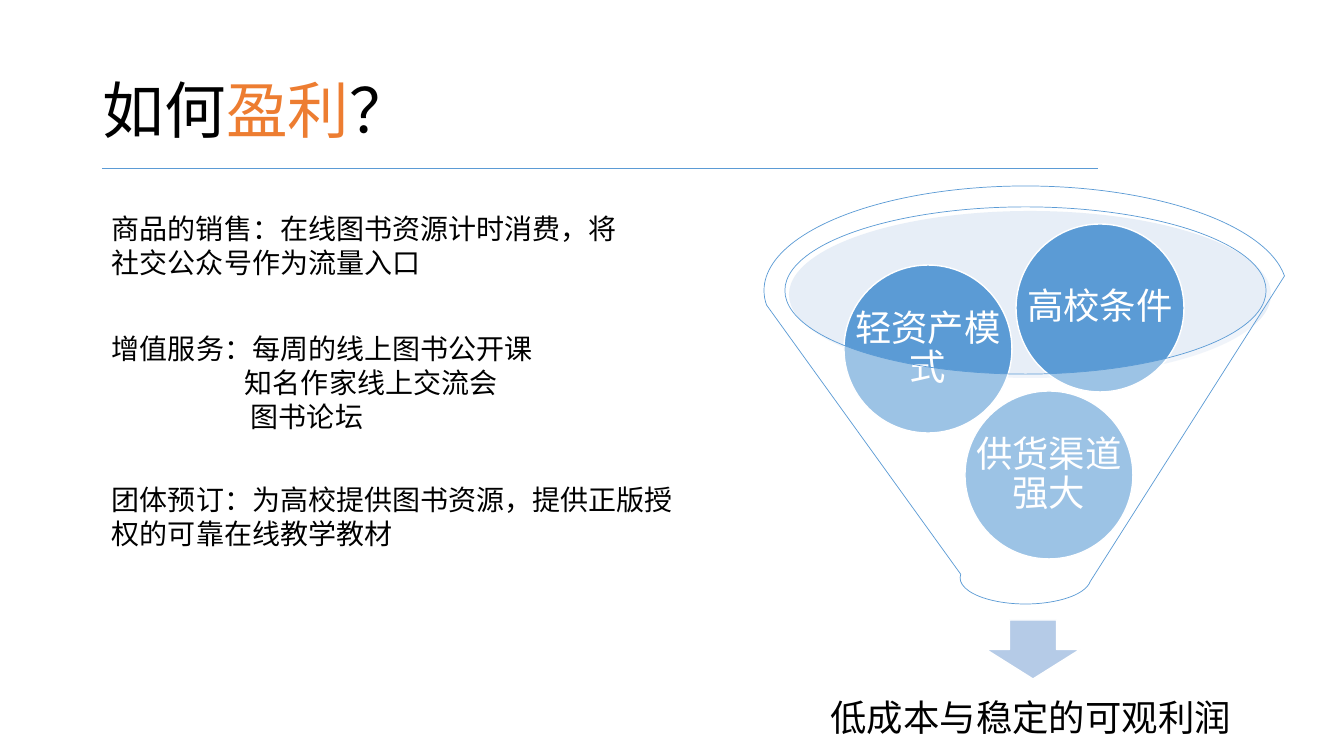
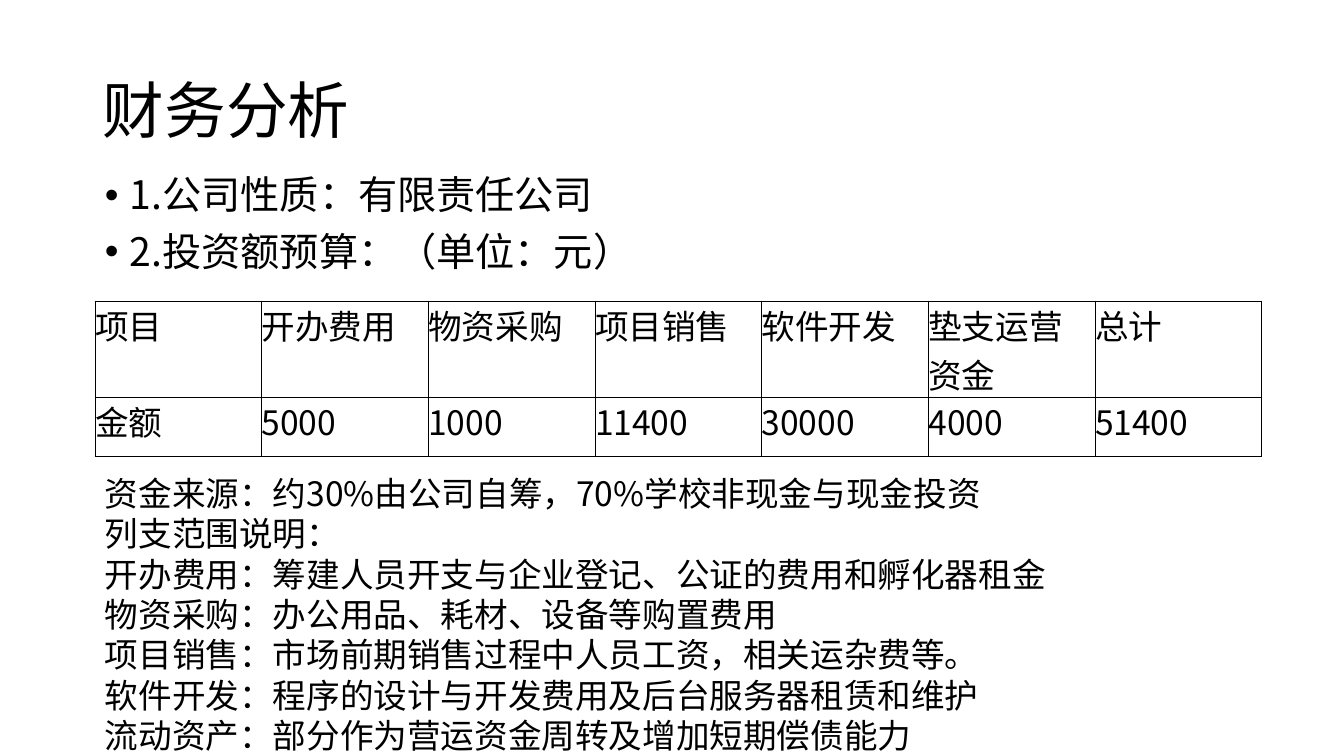
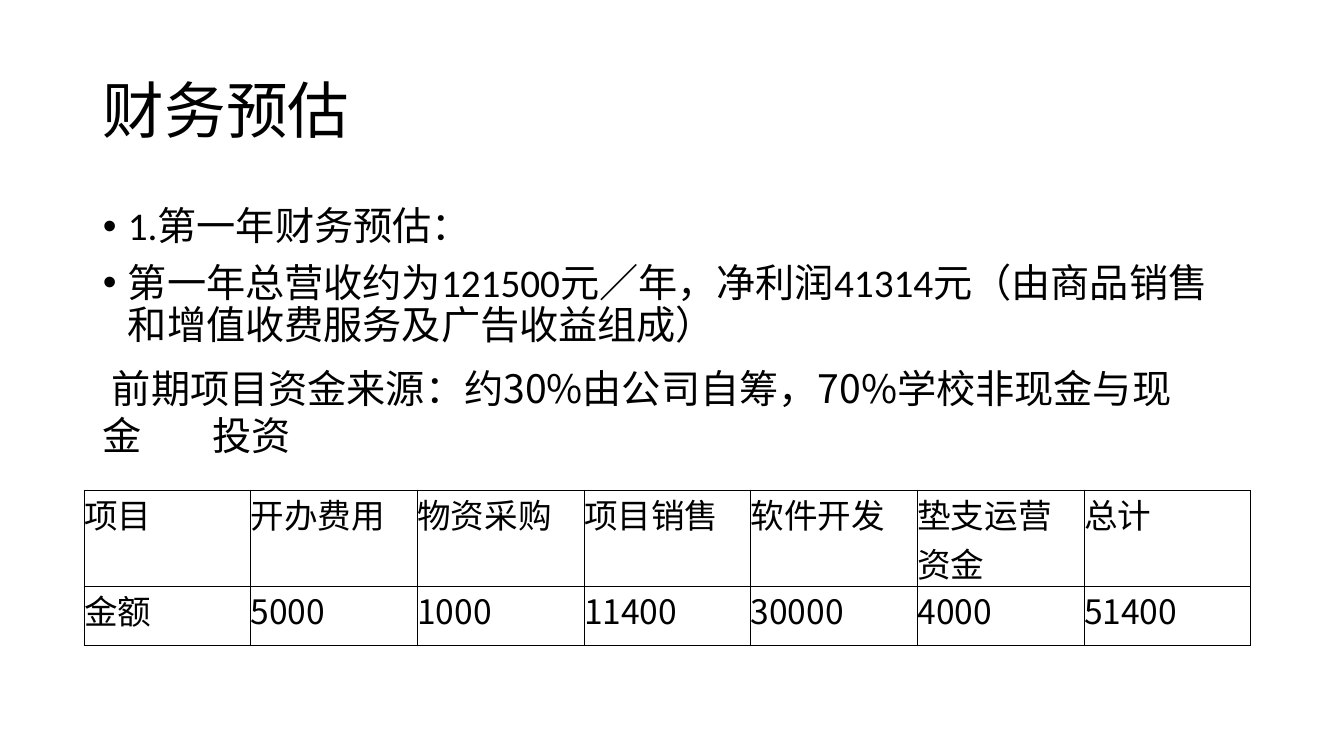
"""Build three slides on profit, budget and forecast for a book service."""
from lxml.etree import SubElement
from pptx import Presentation
from pptx.dml.color import RGBColor
from pptx.enum.shapes import MSO_CONNECTOR, MSO_SHAPE
from pptx.enum.text import MSO_ANCHOR, PP_ALIGN
from pptx.oxml.ns import qn
from pptx.util import Pt

PX = 914400 / 100.8
BLACK = RGBColor(0x00, 0x00, 0x00)
WHITE = RGBColor(0xFF, 0xFF, 0xFF)
BLUE = RGBColor(0x5B, 0x9B, 0xD5)
PALE = RGBColor(0xC4, 0xD5, 0xEB)
ARROW = RGBColor(0xB5, 0xCB, 0xE7)
ORANGE = RGBColor(0xED, 0x7D, 0x31)
LATIN = "Calibri"
HAN = "Noto Sans CJK SC"
CENTER = {"alignment": PP_ALIGN.CENTER, "line_spacing": 0.9}
LIST = {"space_before": Pt(10), "line_spacing": 0.9}
MIDDLE = {"vertical_anchor": MSO_ANCHOR.MIDDLE}
BARE = {f"margin_{side}": 0 for side in ("left", "top", "right", "bottom")}


def write(page, box, paras, size, face=LATIN, tint=BLACK, form={}, frame={},
          indents=(), bullet=False):
    """Add a text box; a paragraph is a string or a list of text and colour."""
    body = page.shapes.add_textbox(*[round(n * PX) for n in box]).text_frame
    for key, value in {"word_wrap": True, **frame}.items():
        setattr(body, key, value)
    for i, para in enumerate(paras):
        line = body.paragraphs[0] if i == 0 else body.add_paragraph()
        for key, value in form.items():
            setattr(line, key, value)
        props = line._p.get_or_add_pPr()
        if indents:
            left, first = indents[i]
            props.set("marL", str(round(left * PX)))
            props.set("indent", str(round(first * PX)))
        if bullet:
            SubElement(props, qn("a:buFont"), typeface="Arial")
            SubElement(props, qn("a:buChar"), char="•")
        for text, color in [(para, tint)] if isinstance(para, str) else para:
            run = line.add_run()
            run.text = text
            for key, value in {"name": face, "size": Pt(size)}.items():
                setattr(run.font, key, value)
            run.font.color.rgb = color
            if face == HAN:
                SubElement(run._r.get_or_add_rPr(), qn("a:ea"), typeface=face)
    return body


def draw(page, kind, box, fill, edge=None, width=1, alpha=None):
    """Add a preset shape with a fill, an optional edge and opacity."""
    shape = page.shapes.add_shape(kind, *[round(n * PX) for n in box])
    shape.shadow.inherit = False
    shape.fill.solid()
    shape.fill.fore_color.rgb = fill
    if alpha:
        tone = shape._element.spPr.find(qn("a:solidFill"))[0]
        SubElement(tone, qn("a:alpha"), val=str(alpha * 1000))
    if edge is None:
        shape.line.fill.background()
    else:
        shape.line.color.rgb = edge
        shape.line.width = Pt(width)


deck = Presentation()
deck.slide_width, deck.slide_height = round(1344 * PX), round(756 * PX)
titles = [
    [("如何", BLACK), ("盈利", ORANGE), ("？", BLACK)],
    "财务分析",
    "财务预估",
]
pages = []
for title in titles:
    page = deck.slides.add_slide(deck.slide_layouts[6])
    write(page, (93, 41, 1159, 146), [title], 44,
          form={"line_spacing": 0.9}, frame=MIDDLE)
    pages.append(page)
profit, budget, outlook = pages

rule = profit.shapes.add_connector(
    MSO_CONNECTOR.STRAIGHT, *[round(n * PX) for n in (102, 168, 1098, 168)])
rule.line.color.rgb = BLUE
rule.line.width = Pt(0.5)
SubElement(rule._element.spPr, qn("a:effectLst"))

draw(profit, MSO_SHAPE.OVAL, (789, 211, 482, 167), PALE, alpha=40)
draw(profit, MSO_SHAPE.DOWN_ARROW, (986, 620, 94, 59), ARROW, WHITE)
write(profit, (807, 684, 448, 72), ["低成本与稳定的可观利润"], 26,
      form=CENTER, frame={**MIDDLE, **BARE})
balls = [
    ("供货渠道强大", 965, 391),
    ("轻资产模式", 844, 265),
    ("高校条件", 1016, 224),
]
for label, x, y in balls:
    box = (x, y, 168, 168)
    draw(profit, MSO_SHAPE.OVAL, box, BLUE, WHITE)
    write(profit, box, [label], 26, tint=WHITE, form=CENTER,
          frame={**MIDDLE, **dict.fromkeys(BARE, round(4 * PX))})
draw(profit, MSO_SHAPE.FUNNEL, (764, 186, 523, 418), WHITE, BLUE, 0.5, 40)

write(profit, (102, 207, 527, 78),
      ["商品的销售：在线图书资源计时消费，将社交公众号作为流量入口"],
      20, HAN)
write(profit, (102, 327, 668, 112),
      ["增值服务：每周的线上图书公开课", "知名作家线上交流会", "图书论坛"],
      20, indents=[(0, 0), (133, 0), (139, 0)])
write(profit, (102, 478, 582, 78),
      ["团体预订：为高校提供图书资源，提供正版授权的可靠在线教学教材"],
      20, HAN)

write(budget, (95, 171, 1159, 120),
      ["1.公司性质：有限责任公司", "2.投资额预算：（单位：元）"], 28, HAN,
      form=LIST, indents=[(25, -25)] * 2, bullet=True)
write(budget, (95, 468, 1133, 288), [
    "资金来源：约30%由公司自筹，70%学校非现金与现金投资",
    "列支范围说明：",
    "开办费用：筹建人员开支与企业登记、公证的费用和孵化器租金",
    "物资采购：办公用品、耗材、设备等购置费用",
    "项目销售：市场前期销售过程中人员工资，相关运杂费等。",
    "软件开发：程序的设计与开发费用及后台服务器租赁和维护",
    "流动资产：部分作为营运资金周转及增加短期偿债能力",
], 24, HAN)

write(outlook, (93, 202, 1159, 150), [
    "1.第一年财务预估：",
    "第一年总营收约为121500元／年，净利润41314元（由商品销售和增值收费服务及广告收益组成）",
], 28, form=LIST, indents=[(25, -25)] * 2, bullet=True)
source = write(outlook, (93, 359, 1112, 104), [[
    ("前期项目资金来源：约30%由公司自筹，70%学校非现金与现金", BLACK),
    (" ", BLACK),
    ("投资", BLACK),
]], 28, HAN, indents=[(0, 9)])
gap = source.paragraphs[0].runs[1]
gap._r.get_or_add_rPr().set("spc", "4400")

costs = [
    ("项目", "开办费用", "物资采购", "项目销售", "软件开发", "垫支运营资金", "总计"),
    ("金额", "5000", "1000", "11400", "30000", "4000", "51400"),
]
for page, x, y in [(budget, 95, 301), (outlook, 84, 490)]:
    area = [round(n * PX) for n in (x, y, 1167, 155)]
    table = page.shapes.add_table(2, 7, *area).table
    for key in ("first_row", "horz_banding"):
        setattr(table, key, False)
    for row, height in zip(table.rows, (96, 59)):
        row.height = round(height * PX)
    for col in table.columns:
        col.width = round(1167 / 7 * PX)
    for r, texts in enumerate(costs):
        for c, text in enumerate(texts):
            cell = table.cell(r, c)
            for key, value in BARE.items():
                setattr(cell, key, value)
            run = cell.text_frame.paragraphs[0].add_run()
            run.text = text
            for key, value in {"name": HAN, "size": Pt(24)}.items():
                setattr(run.font, key, value)
            run.font.color.rgb = BLACK
            SubElement(run._r.get_or_add_rPr(), qn("a:ea"), typeface=HAN)
            props = cell._tc.get_or_add_tcPr()
            for side in ("lnL", "lnR", "lnT", "lnB"):
                edge = SubElement(props, qn(f"a:{side}"), w=str(Pt(0.75)))
                ink = SubElement(edge, qn("a:solidFill"))
                SubElement(ink, qn("a:srgbClr"), val=str(BLACK))
            cell.fill.background()

deck.save("out.pptx")
